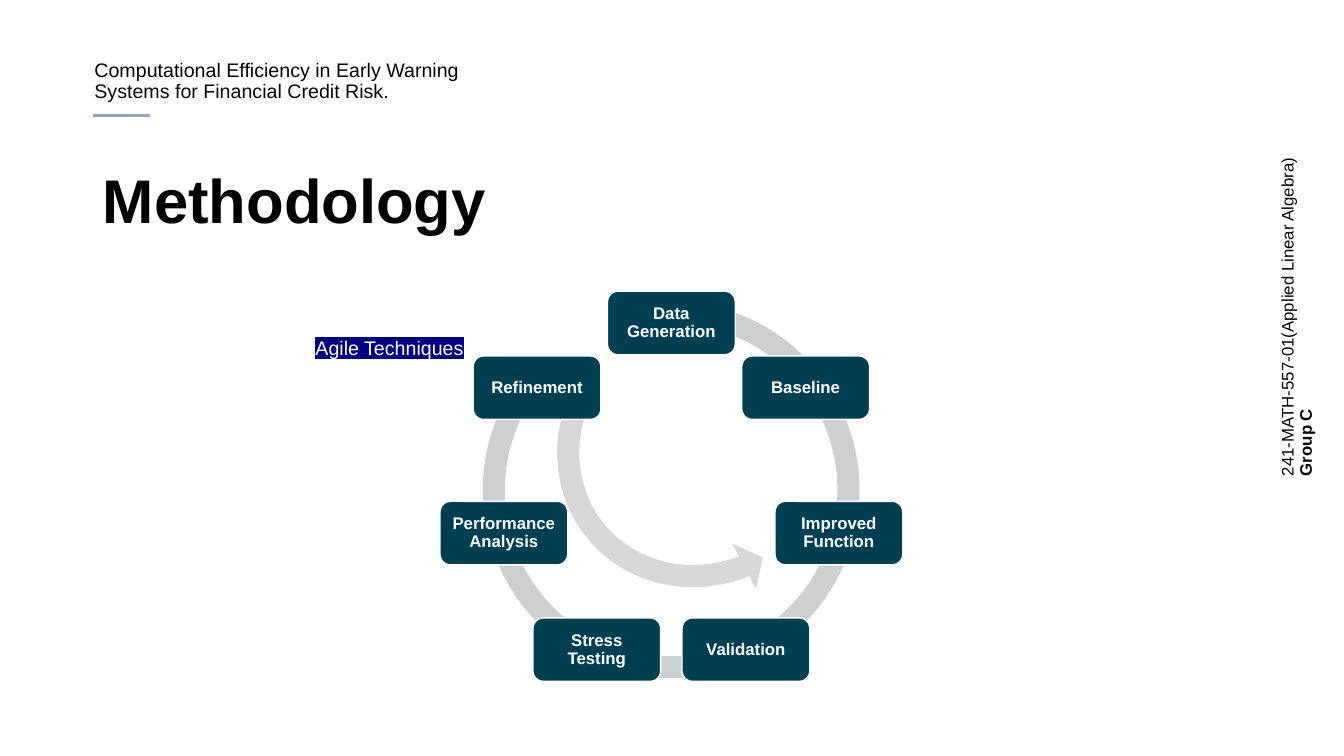
from math import cos, pi, sin

from lxml.etree import SubElement, Element
from pptx import Presentation
from pptx.dml.color import RGBColor
from pptx.enum.shapes import MSO_CONNECTOR as Link, MSO_SHAPE as Kind
from pptx.enum.text import MSO_ANCHOR as Anchor, MSO_AUTO_SIZE as Fit, PP_ALIGN as Align
from pptx.oxml.ns import qn
from pptx.util import Cm, Pt

INK, TEAL, WHITE = "000906", "003E51", "FFFFFF"
STEPS = ["Data Generation", "Baseline", "Improved Function", "Validation",
         "Stress Testing", "Performance Analysis", "Refinement"]
MID_X, MID_Y, RADIUS = 16.92, 12.47, 4.33
NODE_W, NODE_H = 3.22, 1.6


def color(code):
    return RGBColor.from_string(code)


def style(para, size, code, bold=False, space=0.9):
    font = para.font
    font.name, font.size, font.bold = "Arial", Pt(size), bold
    font.color.rgb = color(code)
    para.line_spacing = space


def add_text(slide, box, parts, size, code, anchor=Anchor.TOP, space=0.9):
    shape = slide.shapes.add_textbox(*map(Cm, box))
    frame = shape.text_frame
    frame.word_wrap, frame.vertical_anchor = True, anchor
    para = frame.paragraphs[0]
    style(para, size, code, space=space)
    for part in parts:
        para.add_run().text = part
    return shape


def add_shape(slide, kind, box, fill, edge=None):
    shape = slide.shapes.add_shape(kind, *map(Cm, box))
    shape.shadow.inherit = False
    shape.fill.solid()
    shape.fill.fore_color.rgb = color(fill)
    if edge:
        shape.line.color.rgb = color(edge)
        shape.line.width = Pt(1)
    else:
        shape.line.fill.background()
    return shape


def add_arc(slide, box, fill, values):
    arc = add_shape(slide, Kind.CIRCULAR_ARROW, box, fill)
    for i, value in enumerate(values):
        arc.adjustments[i] = value
    return arc


def add_node(slide, label, x, y):
    box = (x - NODE_W / 2, y - NODE_H / 2, NODE_W, NODE_H)
    node = add_shape(slide, Kind.ROUNDED_RECTANGLE, box, TEAL, WHITE)
    frame = node.text_frame
    frame.word_wrap, frame.vertical_anchor = True, Anchor.MIDDLE
    frame.margin_left = frame.margin_right = Cm(0.13)
    frame.margin_top = frame.margin_bottom = Cm(0.13)
    para = frame.paragraphs[0]
    para.text, para.alignment = label, Align.CENTER
    style(para, 12, WHITE, bold=True)


def add_rule(slide, x, y, end, code):
    rule = slide.shapes.add_connector(Link.STRAIGHT, Cm(x), Cm(y), Cm(end), Cm(y))
    rule.line.color.rgb = color(code)
    rule.line.width = Pt(2.25)
    SubElement(rule._element.spPr, qn("a:effectLst"))


def mark(run, code, back):
    run.font.color.rgb = color(code)
    light = Element(qn("a:highlight"))
    SubElement(light, qn("a:srgbClr")).set("val", back)
    run._r.get_or_add_rPr().find(qn("a:solidFill")).addnext(light)


def set_title(slide, text):
    title = slide.shapes.title
    title.left, title.top, title.width, title.height = map(Cm, (2.34, 4.32, 29.21, 1.63))
    frame = title.text_frame
    frame.text = text
    frame.auto_size, frame.vertical_anchor = Fit.NONE, Anchor.MIDDLE
    frame.paragraphs[0].alignment = Align.LEFT
    style(frame.paragraphs[0], 44, "000000", bold=True)


def main():
    deck = Presentation()
    deck.slide_width, deck.slide_height = Cm(33.87), Cm(19.05)
    slide = deck.slides.add_slide(deck.slide_layouts[5])

    # Header, side note and title
    add_rule(slide, 2.34, 2.9, 3.78, "97A5B9")
    add_text(slide, (2.13, 1.3, 9.78, 1.42),
             ["Computational Efficiency in Early Warning Systems for Financial Credit Risk."],
             14, INK, Anchor.BOTTOM)
    side = add_text(slide, (28.02, 7.06, 9.35, 1.02),
                    ["241-MATH-557-01(Applied Linear Algebra) ", "Group C"],
                    12, INK, Anchor.MIDDLE)
    side.rotation = 270
    side.text_frame.paragraphs[0].runs[1].font.bold = True
    set_title(slide, "Methodology")

    # Inner arrow, mirrored, and outer ring
    arrow = add_arc(slide, (13.82, 7.04, 7.77, 8.26), "D7D7D7",
                    (0.072, 5.477, 202.728, 127.183, 0.083))
    arrow.rotation = 49.2
    arrow._element.spPr.xfrm.set("flipV", "1")
    add_arc(slide, (11.86, 7.29, 10.11, 10.11), "CCCED0",
            (0.055, 3.307, 144.83, 169.69, 0.058))

    # Steps, clockwise from the top
    for i, label in enumerate(STEPS):
        turn = 2 * pi * i / len(STEPS)
        add_node(slide, label, MID_X + RADIUS * sin(turn), MID_Y - RADIUS * cos(turn))

    # Caption, and the gap between last and first step
    note = add_text(slide, (7.7, 8.33, 4.37, 0.86), ["Agile Techniques"], 14, WHITE, space=1.0)
    mark(note.text_frame.paragraphs[0].runs[0], WHITE, "000080")
    add_shape(slide, Kind.RECTANGLE, (13.28, 7.54, 1.93, 1.42), WHITE)

    deck.save("out.pptx")


if __name__ == "__main__":
    main()
